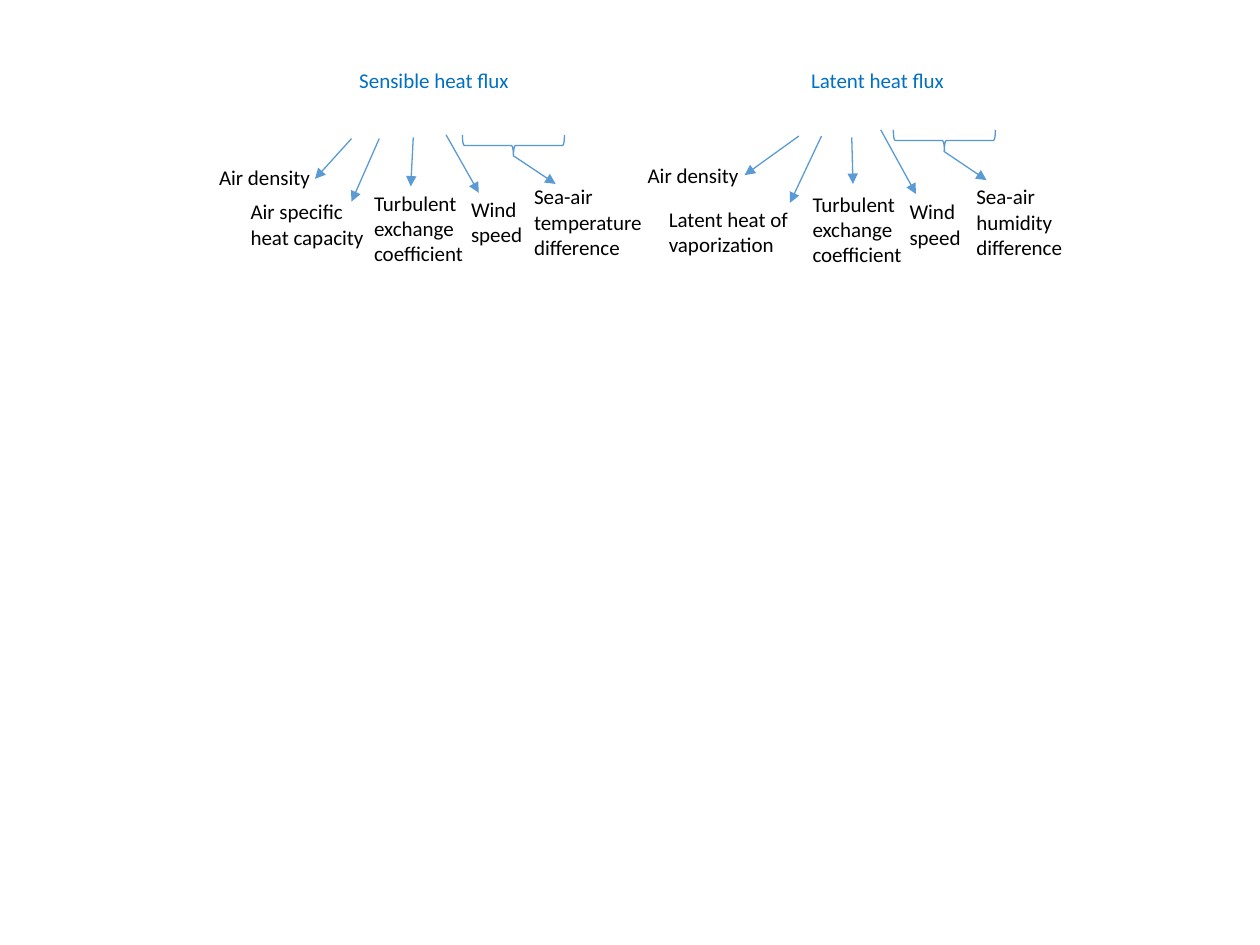
import pptx
import pptx.util
import pptx.dml.color
import pptx.enum.shapes
import pptx.enum.text
import pptx.oxml.ns
import lxml.etree

Inches = pptx.util.Inches
RGBColor = pptx.dml.color.RGBColor
ALIGN = pptx.enum.text.PP_ALIGN

BLACK = RGBColor(0x00, 0x00, 0x00)
TITLE_BLUE = RGBColor(0x00, 0x70, 0xC0)
ARROW_BLUE = RGBColor(0x5B, 0x9B, 0xD5)
BRACE_BLUE = RGBColor(0x56, 0x98, 0xD3)


class FluxSlide:
    font = "Calibri"
    size = pptx.util.Pt(12)
    line_width = pptx.util.Pt(0.75)

    def __init__(self, page):
        self.page = page

    def text(self, words, left, top, width, height, color=BLACK,
             align=ALIGN.LEFT, side=0.1):
        box = self.page.shapes.add_textbox(
            Inches(left), Inches(top), Inches(width), Inches(height))
        frame = box.text_frame
        frame.word_wrap = True
        frame.margin_left = frame.margin_right = Inches(side)
        frame.margin_top = frame.margin_bottom = Inches(0.05)
        frame.text = words
        for para in frame.paragraphs:
            para.alignment = align
            for span in para.runs:
                span.font.name = self.font
                span.font.size = self.size
                span.font.color.rgb = color

    def arrow(self, x1, y1, x2, y2):
        arrow = self.page.shapes.add_connector(
            pptx.enum.shapes.MSO_CONNECTOR.STRAIGHT,
            Inches(x1), Inches(y1), Inches(x2), Inches(y2))
        arrow.line.color.rgb = ARROW_BLUE
        arrow.line.width = self.line_width
        qn = pptx.oxml.ns.qn
        properties = arrow.element.spPr
        line = properties.find(qn("a:ln"))
        lxml.etree.SubElement(line, qn("a:tailEnd"), type="triangle")
        lxml.etree.SubElement(properties, qn("a:effectLst"))

    def brace(self, left, top, width, height):
        brace = self.page.shapes.add_shape(
            pptx.enum.shapes.MSO_SHAPE.LEFT_BRACE,
            Inches(left), Inches(top), Inches(width), Inches(height))
        # Turned so that its point faces down
        brace.rotation = 270
        brace.shadow.inherit = False
        brace.fill.background()
        brace.line.color.rgb = BRACE_BLUE
        brace.line.width = self.line_width


deck = pptx.Presentation()
deck.slide_width = Inches(10)
deck.slide_height = Inches(7.5)
slide = FluxSlide(deck.slides.add_slide(deck.slide_layouts[6]))

# Each flux: title and left edge, brace position, arrows, and factor labels
FLUXES = [
    {
        "title": ("Sensible heat flux", 2.61),
        "brace": (3.99, 0.75),
        "arrows": [
            (2.79, 1.1, 2.5, 1.42),
            (3.01, 1.1, 2.79, 1.6),
            (3.28, 1.09, 3.26, 1.48),
            (3.54, 1.07, 3.8, 1.53),
            (4.08, 1.24, 4.41, 1.46),
        ],
        "factors": [
            ("Air density", 1.64, 1.26, 0.94, 0.3),
            ("Air specific heat capacity", 1.89, 1.53, 1.24, 0.44),
            ("Turbulent exchange coefficient", 2.87, 1.46, 0.95, 0.61),
            ("Wind\nspeed", 3.64, 1.51, 0.63, 0.44),
            ("Sea-air temperature difference", 4.14, 1.41, 1.1, 0.61),
        ],
    },
    {
        "title": ("Latent heat flux", 6.13),
        "brace": (7.41, 0.71),
        "arrows": [
            (6.34, 1.08, 5.91, 1.39),
            (6.52, 1.08, 6.27, 1.61),
            (6.76, 1.09, 6.77, 1.46),
            (6.99, 1.03, 7.27, 1.54),
            (7.49, 1.2, 7.83, 1.43),
        ],
        "factors": [
            ("Latent heat of vaporization", 5.21, 1.59, 1.16, 0.44),
            ("Turbulent exchange coefficient", 6.35, 1.47, 0.95, 0.61),
            ("Wind\nspeed", 7.12, 1.53, 0.68, 0.44),
            ("Sea-air humidity difference", 7.65, 1.41, 0.91, 0.61),
        ],
    },
]

for flux in FLUXES:
    title, title_left = flux["title"]
    slide.text(title, title_left, 0.49, 1.67, 0.3, TITLE_BLUE, ALIGN.CENTER)
    for ends in flux["arrows"]:
        slide.arrow(*ends)
    for factor in flux["factors"]:
        slide.text(*factor)
    slide.brace(*flux["brace"], 0.17, 0.81)

# Density label of the latent flux has no side margins
slide.text("Air density", 5.14, 1.24, 0.77, 0.3, side=0)

deck.save("out.pptx")
